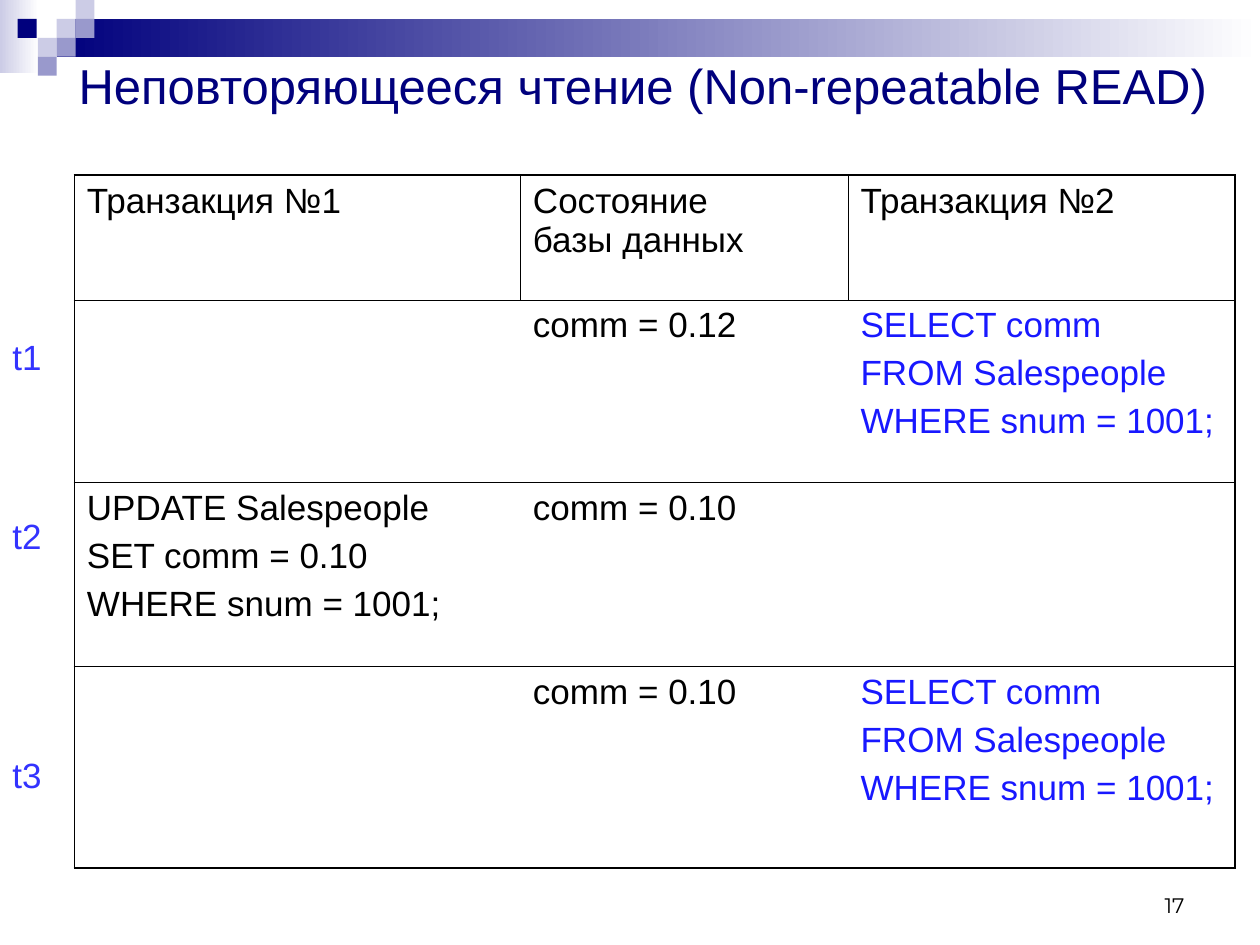
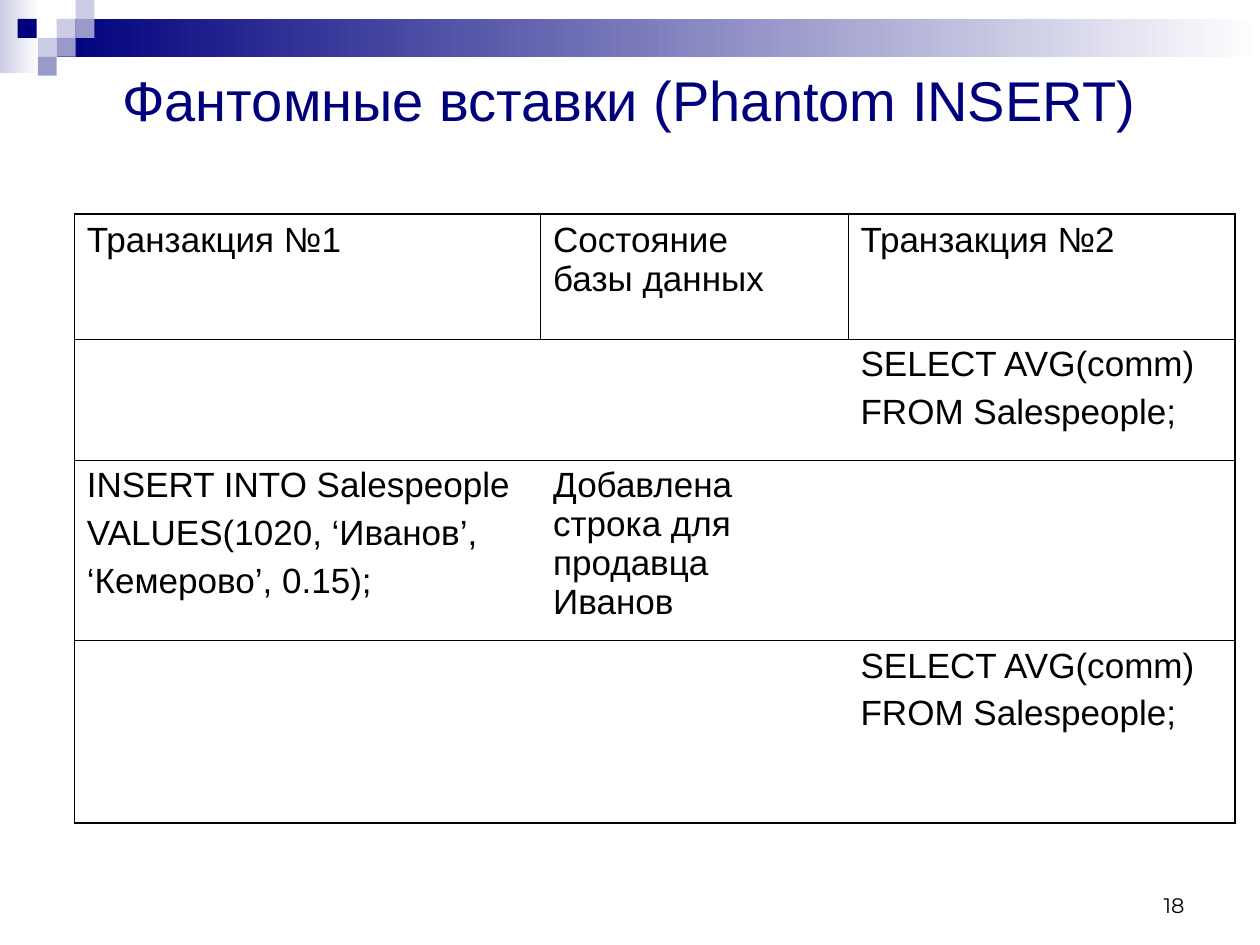
from lxml import etree
from pptx import Presentation
from pptx.dml.color import RGBColor
from pptx.enum import shapes, text
from pptx.oxml import ns
from pptx.util import Inches, Pt

NAVY = RGBColor(0x00, 0x00, 0x7D)
LILAC = RGBColor(0xCC, 0xCC, 0xE6)
MAUVE = RGBColor(0x99, 0x99, 0xCC)
WHITE = RGBColor(0xFF, 0xFF, 0xFF)
BLACK = RGBColor(0, 0, 0)
BLUE = RGBColor(0x18, 0x18, 0xFF)
LABEL = RGBColor(0x33, 0x33, 0xFF)

SANS = "Arial"
THICK, THIN = 1.08, 0.45
UNIT = 0.15
BANDS = [(0, 0, 0.31, 0.58, LILAC), (0.45, UNIT, 9.55, 0.3, NAVY)]
TILES = [
    (0.45, UNIT, LILAC), (0.6, 0, LILAC), (0.6, UNIT, MAUVE),
    (0.3, 0.3, LILAC), (0.14, UNIT, NAVY), (0.45, 0.3, MAUVE),
    (0.3, 0.45, MAUVE),
]
HEAD = ["Транзакция №1", "Состояние|базы данных", "Транзакция №2"]


def add_run(para, words, size, color, font=SANS):
    run = para.add_run()
    run.text = words
    run.font.size = Pt(size)
    run.font.name = font
    run.font.color.rgb = color


def set_frame(frame, anchor, side=0.1, edge=0.05):
    frame.word_wrap = True
    frame.auto_size = text.MSO_AUTO_SIZE.NONE
    frame.vertical_anchor = anchor
    frame.margin_left = frame.margin_right = Inches(side)
    frame.margin_top = frame.margin_bottom = Inches(edge)


def add_rect(slide, left, top, width, height):
    rect = slide.shapes.add_shape(
        shapes.MSO_SHAPE.RECTANGLE,
        Inches(left), Inches(top), Inches(width), Inches(height))
    rect.shadow.inherit = False
    rect.line.fill.background()
    return rect.fill


def add_decor(slide):
    for left, top, width, height, color in BANDS:
        fill = add_rect(slide, left, top, width, height)
        fill.gradient()
        fill.gradient_angle = 0
        for stop, tone in zip(fill.gradient_stops, (color, WHITE)):
            stop.color.rgb = tone
    for left, top, color in TILES:
        fill = add_rect(slide, left, top, UNIT, UNIT)
        fill.solid()
        fill.fore_color.rgb = color


def add_title(slide, words, box, size, anchor, space):
    title = slide.shapes.title
    title.left, title.top, title.width, title.height = map(Inches, box)
    set_frame(title.text_frame, anchor)
    para = title.text_frame.paragraphs[0]
    para.alignment = text.PP_ALIGN.CENTER
    para.line_spacing = space
    add_run(para, words, size, NAVY)


def add_box(slide, left, top, width, height, anchor):
    box = slide.shapes.add_textbox(
        Inches(left), Inches(top), Inches(width), Inches(height))
    set_frame(box.text_frame, anchor)
    return box.text_frame


def add_page(slide, number):
    frame = add_box(slide, 7.17, 6.83, 2.33, 0.5, text.MSO_ANCHOR.BOTTOM)
    para = frame.paragraphs[0]
    para.alignment = text.PP_ALIGN.RIGHT
    add_run(para, str(number), 12, BLACK, "Montserrat")


def add_marks(slide, marks):
    frame = add_box(slide, 0, 2.65, 0.45, 3.72, text.MSO_ANCHOR.TOP)
    for pos, (words, gap) in enumerate(marks):
        para = frame.add_paragraph() if pos else frame.paragraphs[0]
        para.line_spacing = 0.9
        para.space_before = Pt(gap)
        add_run(para, words, 20, LABEL)


def set_edge(cell, side, width):
    props = cell._tc.get_or_add_tcPr()
    line = etree.SubElement(props, ns.qn("a:ln" + side))
    if not width:
        etree.SubElement(line, ns.qn("a:noFill"))
        return
    line.set("w", str(Pt(width)))
    fill = etree.SubElement(line, ns.qn("a:solidFill"))
    etree.SubElement(fill, ns.qn("a:srgbClr")).set("val", str(BLACK))


def fill_cell(cell, lines, color):
    frame = cell.text_frame
    for pos, words in enumerate(lines):
        para = frame.add_paragraph() if pos else frame.paragraphs[0]
        para.space_before = Pt(5 if pos else 0)
        for part, piece in enumerate(words.split("|")):
            if part:
                para.add_line_break()
            add_run(para, piece, 20, color)


def add_grid(slide, top, widths, heights, rows, query):
    rows = [[[words] for words in HEAD]] + rows
    count, span = len(rows), len(widths)
    grid = slide.shapes.add_table(
        count, span, Inches(0.59), Inches(top),
        Inches(sum(widths)), Inches(sum(heights))).table
    grid.first_row = grid.horz_banding = False
    for col, width in zip(grid.columns, widths):
        col.width = Inches(width)
    for row, height in zip(grid.rows, heights):
        row.height = Inches(height)
    for r, row in enumerate(rows):
        inner = 0 if r else THIN
        for c, lines in enumerate(row):
            cell = grid.cell(r, c)
            set_edge(cell, "L", inner if c else THICK)
            set_edge(cell, "R", inner if c < span - 1 else THICK)
            set_edge(cell, "T", THIN if r else THICK)
            set_edge(cell, "B", THIN if r < count - 1 else THICK)
            cell.fill.background()
            fill_cell(cell, lines, query if r and c == 2 else BLACK)


def add_slide(prs, number):
    slide = prs.slides.add_slide(prs.slide_layouts[5])
    add_decor(slide)
    add_page(slide, number)
    return slide


def main():
    prs = Presentation()
    prs.slide_width, prs.slide_height = Inches(10), Inches(7.5)

    slide = add_slide(prs, 17)
    add_title(slide, "Неповторяющееся чтение (Non-repeatable READ)",
              (0.2, 0.44, 9.8, 0.52), 28, text.MSO_ANCHOR.TOP, 0.9)
    query = ["SELECT comm", "FROM Salespeople", "WHERE snum = 1001;"]
    change = ["UPDATE Salespeople", "SET comm = 0.10", "WHERE snum = 1001;"]
    add_grid(slide, 1.39, [3.54, 2.6, 3.07], [0.99, 1.45, 1.46, 1.6], [
        [[], ["comm = 0.12"], query],
        [change, ["comm = 0.10"], []],
        [[], ["comm = 0.10"], query],
    ], BLUE)
    add_marks(slide, [("t1", 0), ("t2", 81), ("t3", 115)])

    slide = add_slide(prs, 18)
    add_title(slide, "Фантомные вставки (Phantom INSERT)",
              (0.5, 0.5, 8.99, 0.57), 32, text.MSO_ANCHOR.MIDDLE, 1.0)
    query = ["SELECT AVG(comm)", "FROM Salespeople;"]
    change = ["INSERT INTO Salespeople", "VALUES(1020, ‘Иванов’,",
              "‘Кемерово’, 0.15);"]
    add_grid(slide, 1.7, [3.7, 2.44, 3.07], [0.99, 0.96, 1.43, 1.45], [
        [[], [], query],
        [change, ["Добавлена строка для продавца Иванов"], []],
        [[], [], query],
    ], BLACK)

    prs.save("out.pptx")


if __name__ == "__main__":
    main()
